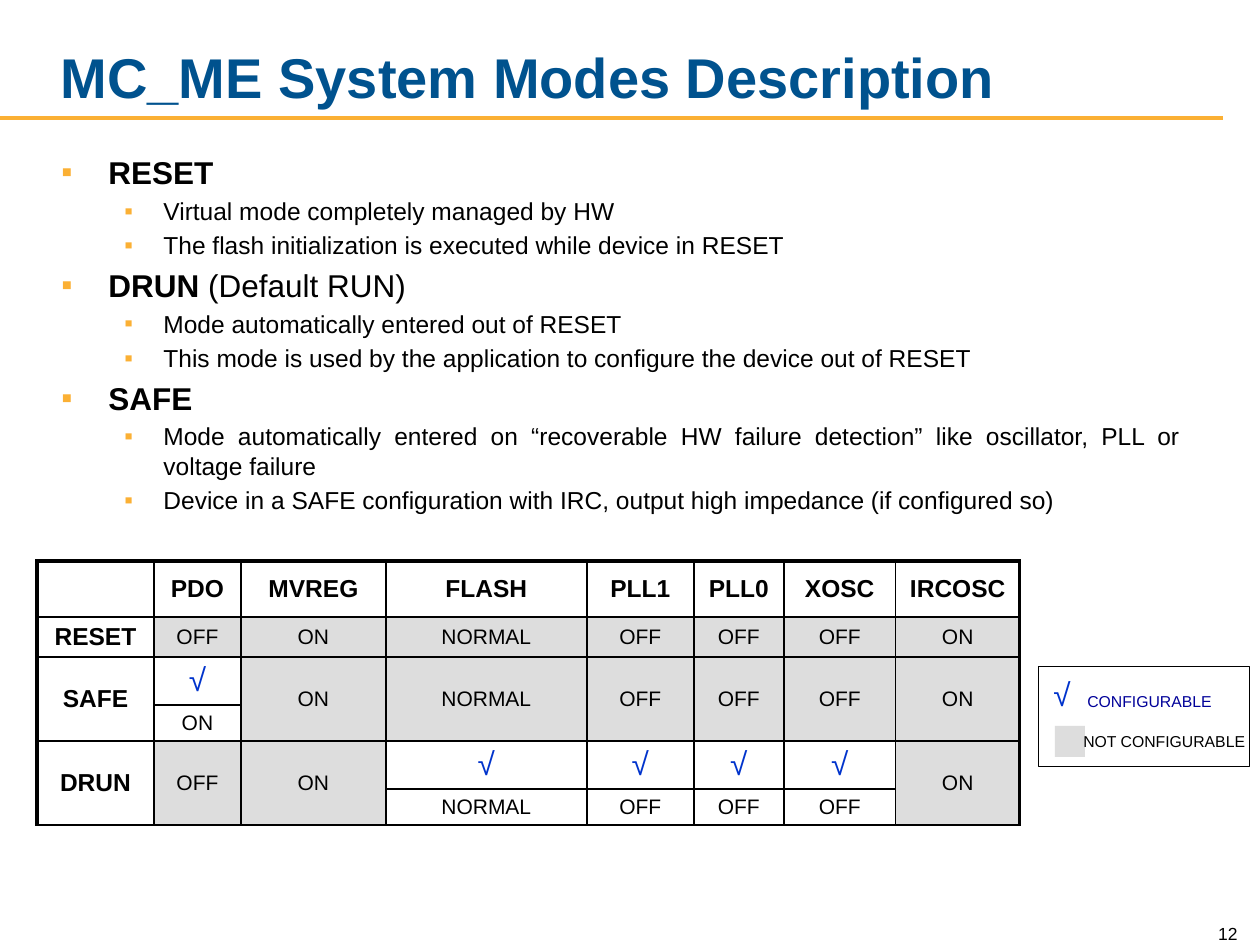
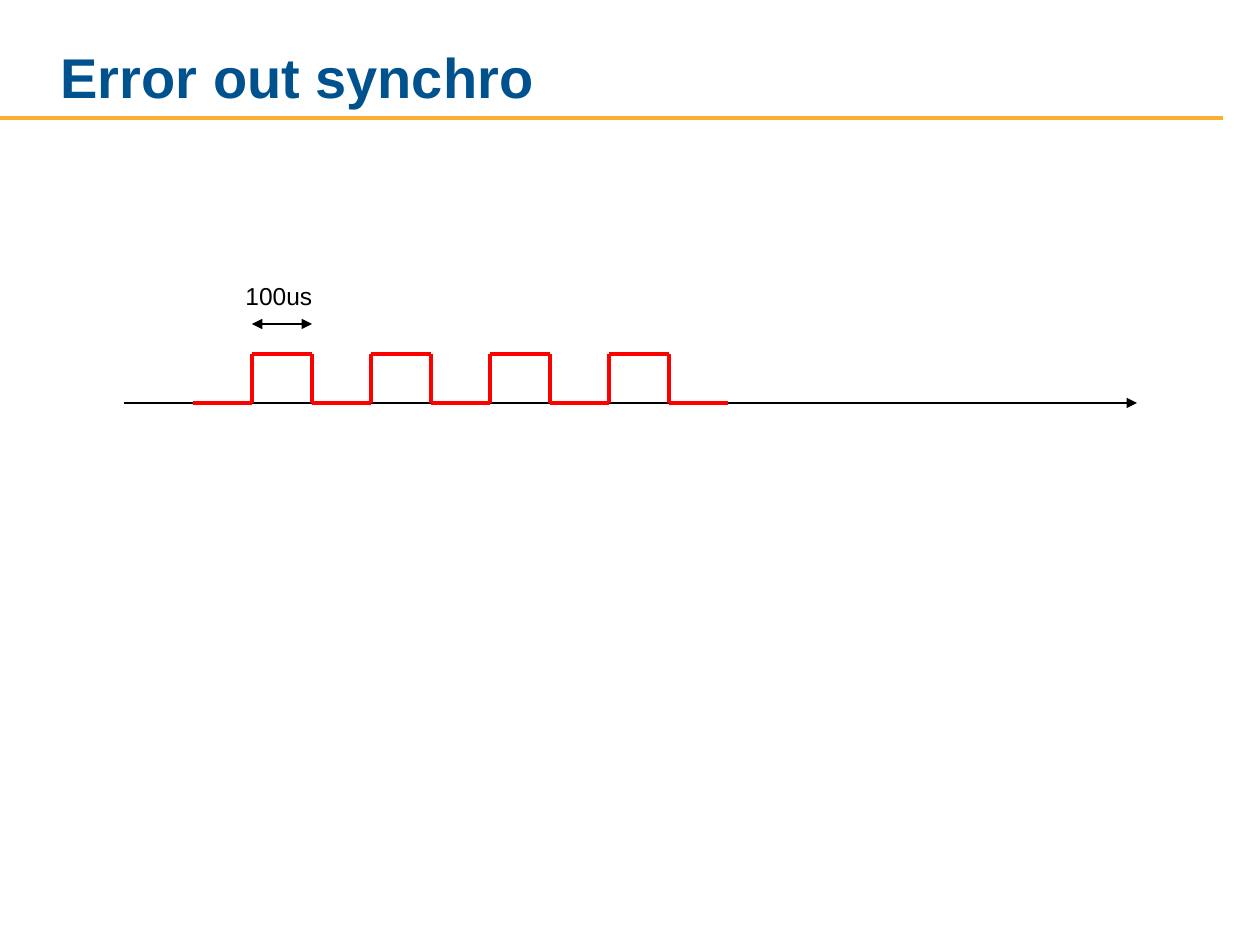
from pptx import Presentation
from pptx.dml.color import RGBColor
from pptx.enum.shapes import MSO_CONNECTOR as Conn, MSO_SHAPE as Shape
from pptx.enum.text import MSO_ANCHOR as Anchor, MSO_AUTO_SIZE as Auto, PP_ALIGN as Align
from pptx.oxml import parse_xml
from pptx.oxml.ns import nsdecls
from pptx.util import Inches, Pt

PX = 914400 // 126
BLACK, BLUE, GOLD, GREY = "000000", "00528E", "FBB034", "DDDDDD"
WHITE, RED, TICK, NAVY = "FFFFFF", "FF0000", "0033CC", "000099"
NS = nsdecls("a")
rgb = RGBColor.from_string


def style(par, size, col=BLACK, bold=False, align=Align.LEFT):
    par.alignment = align
    for run in par.runs:
        font = run.font
        font.name, font.size, font.bold = "Arial", Pt(size), bold
        font.color.rgb = rgb(col)


def link(slide, start, end, col, width, tips=()):
    """Draw a straight line; tips names the ends that get an arrowhead."""
    ends = [v * PX for v in (*start, *end)]
    line = slide.shapes.add_connector(Conn.STRAIGHT, *ends)
    line.line.color.rgb = rgb(col)
    line.line.width = Pt(width)
    for tip in tips:
        line.line._get_or_add_ln().append(parse_xml(f'<a:{tip} {NS} type="triangle"/>'))
    line._element.spPr.append(parse_xml(f"<a:effectLst {NS}/>"))


prs = Presentation()
prs.slide_width, prs.slide_height = Inches(10), Inches(7.5)

# Titles and rule, shared by both slides
slides = []
for name in ("MC_ME System Modes Description", "Error out synchro"):
    slide = prs.slides.add_slide(prs.slide_layouts[5])
    link(slide, (0, 118), (1223, 118), GOLD, 2.25)
    title = slide.shapes.title
    title.left, title.top, title.width, title.height = [v * PX for v in (48, 21, 1029, 95)]
    frame = title.text_frame
    frame.text = name
    frame.auto_size, frame.vertical_anchor = Auto.NONE, Anchor.BOTTOM
    style(frame.paragraphs[0], 32, BLUE, True)
    slides.append(slide)
modes, sync = slides

# Mode descriptions
points = [
    (0, "RESET", ""),
    (1, "Virtual mode completely managed by HW", ""),
    (1, "The flash initialization is executed while device in RESET", ""),
    (0, "DRUN", " (Default RUN)"),
    (1, "Mode automatically entered out of RESET", ""),
    (1, "This mode is used by the application to configure the device out of RESET", ""),
    (0, "SAFE", ""),
    (1, "Mode automatically entered on “recoverable HW failure detection” "
        "like oscillator, PLL or voltage failure", ""),
    (1, "Device in a SAFE configuration with IRC, output high impedance (if configured so)", ""),
]
body = modes.shapes.add_textbox(49 * PX, 147 * PX, 1144 * PX, 413 * PX).text_frame
body.word_wrap = True
for i, (level, words, tail) in enumerate(points):
    par = body.add_paragraph() if i else body.paragraphs[0]
    par.text, par.level = words, level
    if tail:
        par.add_run().text = tail
    style(par, (18, 14)[level], bold=level == 0, align=Align.JUSTIFY)
    if tail:
        par.runs[1].font.bold = False
    left, hang = ((47, 47), (102, 39))[level]
    props = par._p.get_or_add_pPr()
    props.set("marL", str(left * PX))
    props.set("indent", str(-hang * PX))
    for xml in (
        f'<a:spcBef {NS}><a:spcPct val="20000"/></a:spcBef>',
        f'<a:buClr {NS}><a:srgbClr val="{GOLD}"/></a:buClr>',
        f'<a:buFont {NS} typeface="Arial"/>',
        f'<a:buChar {NS} char="▪"/>',
    ):
        props.append(parse_xml(xml))

# Mode table: None continues the cell above
rows = [
    ["", "PDO", "MVREG", "FLASH", "PLL1", "PLL0", "XOSC", "IRCOSC"],
    ["RESET", "OFF", "ON", "NORMAL", "OFF", "OFF", "OFF", "ON"],
    ["SAFE", "√", "ON", "NORMAL", "OFF", "OFF", "OFF", "ON"],
    [None, "ON", None, None, None, None, None, None],
    ["DRUN", "OFF", "ON", "√", "√", "√", "√", "ON"],
    [None, None, None, "NORMAL", "OFF", "OFF", "OFF", None],
]
wide = [117, 87, 145, 201, 107, 90, 112, 124]
high = [56, 40, 48, 36, 48, 36]
table = modes.shapes.add_table(
    len(high), len(wide), 37 * PX, 561 * PX, sum(wide) * PX, sum(high) * PX).table
table.first_row = table.horz_banding = False
for col, width in zip(table.columns, wide):
    col.width = width * PX
for row, height in zip(table.rows, high):
    row.height = height * PX
for r, row in enumerate(rows):
    for c, words in enumerate(row):
        cell = table.cell(r, c)
        joined = r + 1 < len(rows) and rows[r + 1][c] is None
        if joined:
            cell.merge(table.cell(r + 1, c))
        fixed = c > 0 and (r == 1 or joined or words is None)
        cell.fill.solid()
        cell.fill.fore_color.rgb = rgb(GREY if fixed else WHITE)
        cell.vertical_anchor = Anchor.MIDDLE
        cell.margin_left = cell.margin_right = 4 * PX
        cell.margin_top = cell.margin_bottom = 4 * PX
        if words:
            cell.text_frame.text = words
            head = r == 0 or c == 0
            size, ink = (18, TICK) if words == "√" else (14 if head else 12, BLACK)
            style(cell.text_frame.paragraphs[0], size, ink, head, Align.CENTER)
        outer = {"L": c == 0, "R": c == len(wide) - 1, "T": r == 0, "B": False}
        for k, (side, thick) in enumerate(outer.items()):
            width = Pt(2.25 if thick else 1)
            cell._tc.get_or_add_tcPr().insert(k, parse_xml(
                f'<a:ln{side} {NS} w="{width}"><a:solidFill>'
                f'<a:srgbClr val="{BLACK}"/></a:solidFill></a:ln{side}>'))

# Legend frame and swatch
for box, fill in (((1038, 666, 211, 100), None), ((1055, 726, 30, 31), GREY)):
    rect = modes.shapes.add_shape(Shape.RECTANGLE, *[v * PX for v in box])
    rect.shadow.inherit = False
    if fill:
        rect.fill.solid()
        rect.fill.fore_color.rgb = rgb(fill)
        rect.line.fill.background()
    else:
        rect.fill.background()
        rect.line.color.rgb = rgb(BLACK)
        rect.line.width = Pt(0.25)

# Small labels: legend, page number, pulse width
labels = [
    (modes, "√", (1041, 669, 45, 50), 18, TICK, Align.LEFT),
    (modes, "CONFIGURABLE", (1075, 686, 160, 31), 9, NAVY, Align.LEFT),
    (modes, "NOT CONFIGURABLE", (1071, 726, 189, 32), 9, BLACK, Align.LEFT),
    (modes, "12", (1187, 912, 63, 38), 10, BLACK, Align.RIGHT),
    (sync, "100us", (233, 275, 92, 41), 14, BLACK, Align.LEFT),
]
for slide, words, box, size, ink, align in labels:
    frame = slide.shapes.add_textbox(*[v * PX for v in box]).text_frame
    frame.text = words
    frame.word_wrap = False
    if align == Align.RIGHT:
        frame.word_wrap, frame.vertical_anchor = True, Anchor.BOTTOM
    style(frame.paragraphs[0], size, ink, align=align)

# Time axis, square wave and pulse width arrow
base, peak = 403, 354
link(sync, (124, base), (1137, base), BLACK, 0.75, ["tailEnd"])
edges = [193 + i * 119 // 2 for i in range(10)]
wave = []
for i in range(9):
    y = peak if i % 2 else base
    wave += [(edges[i], y), (edges[i + 1], y)]
for start, end in zip(wave, wave[1:]):
    link(sync, start, end, RED, 2.25)
link(sync, (edges[1], 324), (edges[2], 324), BLACK, 0.75, ["headEnd", "tailEnd"])

prs.save("out.pptx")
